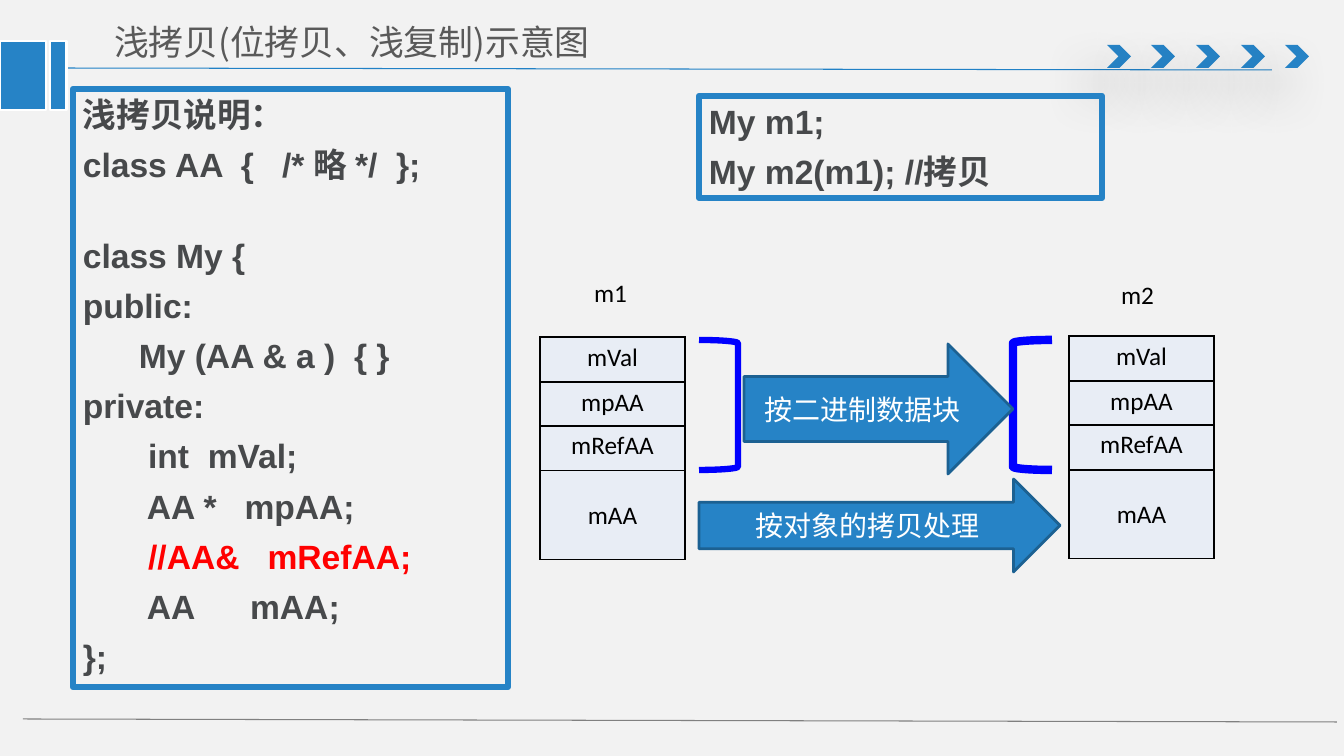
from lxml import etree
from pptx import Presentation, util as u
from pptx.dml.color import RGBColor
from pptx.enum import shapes, text
from pptx.oxml import parse_xml
from pptx.oxml.ns import nsdecls, qn

SCALE = 914400 / 100.8
COLORS = {"background": "F2F2F2", "blue": "2683C6", "rule": "2181C6", "edge": "1C6192",
          "gray": "808080", "title": "595959", "code": "47494B", "red": "FF0000",
          "bracket": "0000FF", "cell": "E8EDF5", "black": "000000", "white": "FFFFFF"}
CJK = "Noto Sans CJK SC"
CENTER = text.PP_ALIGN.CENTER
MIDDLE = text.MSO_ANCHOR.MIDDLE
KIND = shapes.MSO_SHAPE


def px(length):
    return u.Emu(round(length * SCALE))


def rgb(name):
    return RGBColor.from_string(COLORS[name])


def add_shape(kind, box, fill=None, line=None, width=0):
    shape = slide.shapes.add_shape(kind, *map(px, box))
    shape.shadow.inherit = False
    if fill:
        shape.fill.solid()
        shape.fill.fore_color.rgb = rgb(fill)
    else:
        shape.fill.background()
    if line:
        shape.line.color.rgb = rgb(line)
        shape.line.width = u.Pt(width)
    else:
        shape.line.fill.background()
    return shape


def write(paragraph, content, size, font, color, bold=False, align=text.PP_ALIGN.LEFT):
    """Add one formatted run, with the East Asian font set too."""
    paragraph.alignment = align
    run = paragraph.add_run()
    run.text = content
    for name, value in {"size": u.Pt(size), "name": font, "bold": bold}.items():
        setattr(run.font, name, value)
    run.font.color.rgb = rgb(color)
    latin = run.font._element.find(qn("a:latin"))
    latin.addnext(parse_xml(f'<a:ea {nsdecls("a")} typeface="{CJK}"/>'))


presentation = Presentation()
presentation.slide_width, presentation.slide_height = px(1344), px(756)
slide = presentation.slides.add_slide(presentation.slide_layouts[5])
slide.background.fill.solid()
slide.background.fill.fore_color.rgb = rgb("background")

# Header and footer decoration
for ends, color in [((53, 68, 1272, 70), "rule"), ((23, 719, 1337, 722), "gray")]:
    rule = slide.shapes.add_connector(shapes.MSO_CONNECTOR.STRAIGHT, *map(px, ends))
    rule.line.color.rgb = rgb(color)
    rule.line.width = u.Pt(0.75)
    etree.SubElement(rule._element.spPr, qn("a:effectLst"))

for index in range(5):
    chevron = add_shape(KIND.CHEVRON, (1107 + round(44.5 * index), 45, 24, 23), "blue")
    chevron._element.spPr.find(qn("a:effectLst")).append(parse_xml(
        f'<a:outerShdw {nsdecls("a")} blurRad="{u.Pt(36)}" dist="{u.Pt(24)}" dir="{130 * 60000}">'
        f'<a:srgbClr val="{COLORS["black"]}"><a:alpha val="38000"/></a:srgbClr></a:outerShdw>'))

for left, width in [(0, 46), (50, 17)]:
    add_shape(KIND.RECTANGLE, (left, 41, width, 69), "blue", "white", 2)

title = slide.shapes.title
for name, value in {"left": 100, "top": 14, "width": 590, "height": 55}.items():
    setattr(title, name, px(value))
title_format = {"vertical_anchor": MIDDLE, "margin_left": px(14), "margin_right": px(14),
                "margin_top": px(7), "margin_bottom": px(7)}
for name, value in title_format.items():
    setattr(title.text_frame, name, value)
write(title.text_frame.paragraphs[0], "浅拷贝(位拷贝、浅复制)示意图", 24.9, CJK, "title")

# Code boxes: each line is a list of (text, colour) runs after the space before it
CLASS_CODE = """浅拷贝说明：
class AA  {   /* 略 */  };
class My {
public:
      My (AA & a )  { }
private:
       int  mVal;
       AA *   mpAA;
       //AA&   mRefAA;
       AA      mAA;
};"""
COPY_CODE = """My m1;
My m2(m1); //拷贝"""
for box, code in [((73, 89, 435, 598), CLASS_CODE), ((699, 96, 403, 102), COPY_CODE)]:
    frame = add_shape(KIND.RECTANGLE, box, line="blue", width=4.5).text_frame
    frame.word_wrap = True
    frame.vertical_anchor = text.MSO_ANCHOR.TOP
    for number, line in enumerate(code.split("\n")):
        paragraph = frame.add_paragraph() if number else frame.paragraphs[0]
        properties = paragraph._p.get_or_add_pPr()
        properties.set("marL", str(px(35)))
        properties.set("indent", str(px(-35)))
        if number:
            paragraph.space_before = u.Pt(36 if line == "class My {" else 7)
        color = "red" if line.strip().startswith("//") else "code"
        write(paragraph, line, 24, "Arial", color, bold=True)

# Memory layout of both objects
MEMBERS = {"mVal": 45, "mpAA": 44, "mRefAA": 45, "mAA": 89}
for name, left, top, label_left, label_top in [("m1", 540, 337, 572, 272),
                                               ("m2", 1069, 336, 1099, 274)]:
    label = slide.shapes.add_textbox(*map(px, (label_left, label_top, 77, 40)))
    label.text_frame.word_wrap = True
    write(label.text_frame.paragraphs[0], name, 18, "Calibri", "black", align=CENTER)

    table = slide.shapes.add_table(4, 1, *map(px, (left, top, 145, 223))).table
    for row, (member, height) in enumerate(MEMBERS.items()):
        table.rows[row].height = px(height)
        cell = table.cell(row, 0)
        cell.vertical_anchor = MIDDLE if member == "mAA" else text.MSO_ANCHOR.TOP
        write(cell.text_frame.paragraphs[0], member, 18, "Calibri", "black", align=CENTER)
        for side in ("lnL", "lnR", "lnT", "lnB"):
            cell._tc.get_or_add_tcPr().append(parse_xml(
                f'<a:{side} {nsdecls("a")} w="{u.Pt(1)}"><a:solidFill>'
                f'<a:srgbClr val="{COLORS["black"]}"/></a:solidFill></a:{side}>'))
        cell.fill.solid()
        cell.fill.fore_color.rgb = rgb("cell")

add_shape(KIND.RIGHT_BRACKET, (699, 340, 39, 130), line="bracket", width=4.5)
add_shape(KIND.LEFT_BRACKET, (1013, 340, 39, 130), line="bracket", width=6)

for box, caption in [((744, 344, 269, 130), "按二进制数据块"),
                     ((699, 479, 361, 93), "按对象的拷贝处理")]:
    frame = add_shape(KIND.RIGHT_ARROW, box, "blue", "edge", 2).text_frame
    frame.word_wrap = True
    frame.vertical_anchor = MIDDLE
    write(frame.paragraphs[0], caption, 20, CJK, "white", align=CENTER)

presentation.save("out.pptx")
